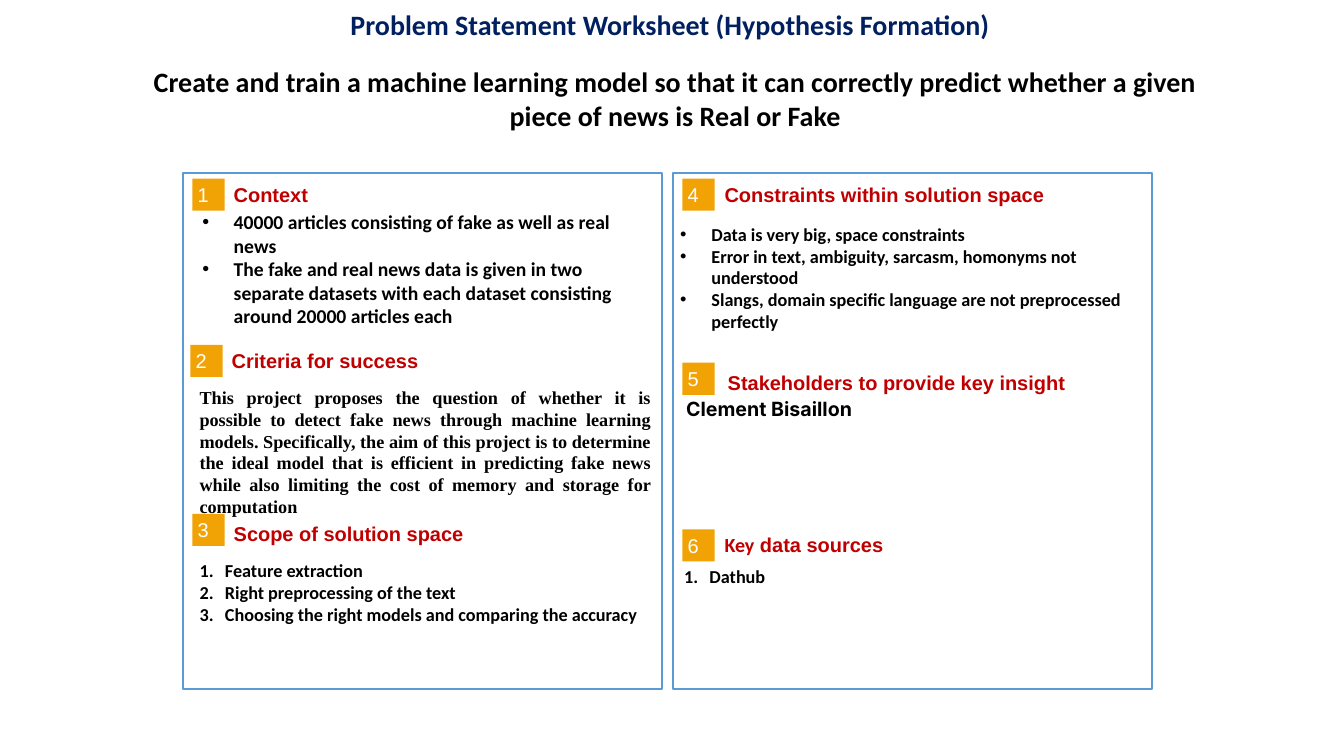
from dataclasses import dataclass

from lxml.etree import SubElement
from pptx import Presentation
from pptx.dml.color import RGBColor
from pptx.enum.shapes import MSO_SHAPE as Preset
from pptx.enum.text import MSO_ANCHOR as Anchor, MSO_AUTO_SIZE as AutoSize, PP_ALIGN as Align
from pptx.oxml.ns import qn
from pptx.util import Cm, Pt


@dataclass(frozen=True)
class Theme:
    navy: str = "002060"
    black: str = "000000"
    white: str = "FFFFFF"
    red: str = "C00000"
    amber: str = "F1A205"
    blue: str = "5B9BD5"
    title: float = 20
    heading: float = 14.3
    large: float = 14
    body: float = 13


theme = Theme()


def write(box, *lines, size=theme.body, color=theme.black, font="Calibri", bold=True,
          align=Align.LEFT, anchor=Anchor.TOP, margins=(0.25, 0.13),
          bullet=None, indent=0.0, lead="", lead_font="Calibri"):
    """Fill a box with one paragraph per line; lead opens the first one in lead_font."""
    frame = box.text_frame
    frame.word_wrap = True
    frame.auto_size = AutoSize.NONE
    frame.vertical_anchor = anchor
    frame.margin_left = frame.margin_right = Cm(margins[0])
    frame.margin_top = frame.margin_bottom = Cm(margins[1])
    for number, line in enumerate(lines):
        para = frame.add_paragraph() if number else frame.paragraphs[0]
        para.alignment = align
        para.line_spacing = 1.0
        para.space_before = para.space_after = Pt(0)
        if bullet:
            properties = para._p.get_or_add_pPr()
            properties.set("marL", str(Cm(indent)))
            properties.set("indent", str(-Cm(indent)))
            if bullet == "number":
                SubElement(properties, qn("a:buFont"), typeface="+mj-lt")
                SubElement(properties, qn("a:buAutoNum"), type="arabicPeriod")
            else:
                SubElement(properties, qn("a:buFont"), typeface="Arial")
                SubElement(properties, qn("a:buChar"), char=bullet)
        spans = [(line, font)]
        if lead and number == 0:
            spans.insert(0, (lead, lead_font))
        for text, face in spans:
            span = para.add_run()
            span.text = text
            span.font.name = face
            span.font.size = Pt(size)
            span.font.bold = bold
            span.font.color.rgb = RGBColor.from_string(color)


def add_block(left, top, width, height, fill, line=None):
    """Draw a flat rectangle."""
    block = page.shapes.add_shape(Preset.RECTANGLE, Cm(left), Cm(top), Cm(width), Cm(height))
    block.shadow.inherit = False
    block.fill.solid()
    block.fill.fore_color.rgb = RGBColor.from_string(fill)
    if line:
        block.line.color.rgb = RGBColor.from_string(line)
        block.line.width = Pt(1.5)
    else:
        block.line.fill.background()
    return block


deck = Presentation()
deck.slide_width, deck.slide_height = Cm(33.87), Cm(19.05)
page = deck.slides.add_slide(deck.slide_layouts.get_by_name("Comparison"))
title, *list_holders = page.placeholders

# Two panels
for left in (4.62, 16.97):
    add_block(left, 4.37, 12.07, 13, theme.white, theme.blue)

# Numbered headings: badge left and top, heading left and top, opening word, text
headings = [
    (4.85, 4.5, 5.89, 4.57, "", "Context"),
    (4.8, 8.69, 5.84, 8.76, "", "Criteria for success"),
    (4.85, 12.95, 5.89, 13.13, "", "Scope of solution space"),
    (17.2, 4.5, 18.26, 4.57, "", "Constraints within solution space"),
    (17.2, 9.14, 18.34, 9.32, "", "Stakeholders to provide key insight"),
    (17.2, 13.34, 18.26, 13.41, "Key", " data sources"),
]
for number, (badge_left, badge_top, left, top, lead, text) in enumerate(headings, 1):
    badge = add_block(badge_left, badge_top, 0.81, 0.81, theme.amber)
    write(badge, str(number), size=theme.heading, color=theme.white, font="Arial",
          bold=False, anchor=Anchor.MIDDLE, margins=(0.13, 0.13))
    heading = page.shapes.add_textbox(Cm(left), Cm(top), Cm(9.98), Cm(0.64))
    write(heading, text, lead=lead, size=theme.heading, color=theme.red, font="Arial",
          anchor=Anchor.MIDDLE, margins=(0, 0))

# Lists: position and size, bullet, indent, type size, lines
lists = [
    ((4.85, 5.16, 11.56, 3.38), "•", 0.79, theme.large, [
        "40000 articles consisting of fake as well as real news",
        "The fake and real news data is given in two separate datasets "
        "with each dataset consisting around 20000 articles each"]),
    ((4.78, 13.97, 12.01, 2.08), "number", 0.64, theme.body, [
        "Feature extraction",
        "Right preprocessing of the text",
        "Choosing the right models and comparing the accuracy"]),
    ((16.89, 5.49, 12.09, 3.48), "•", 0.79, theme.body, [
        "Data is very big, space constraints",
        "Error in text, ambiguity, sarcasm, homonyms not understood",
        "Slangs, domain specific language are not preprocessed perfectly"]),
    ((16.99, 14.12, 12.01, 3), "number", 0.64, theme.body, ["Dathub"]),
]
for holder, (place, bullet, indent, size, lines) in zip(list_holders, lists):
    holder.left, holder.top, holder.width, holder.height = map(Cm, place)
    write(holder, *lines, size=size, bullet=bullet, indent=indent)

# Title
title.left, title.top, title.width, title.height = Cm(4.67), Cm(0.18), Cm(24.43), Cm(0.86)
write(title, "Problem Statement Worksheet (Hypothesis Formation)", size=theme.title,
      color=theme.navy, align=Align.CENTER, margins=(0, 0))

# Bring the placeholders in front of the panels
for holder in (*list_holders, title):
    holder.element.getparent().append(holder.element)

# Free text
texts = [
    ((4.78, 9.6, 11.86, 3.86), "Times New Roman", theme.body, Align.JUSTIFY,
     "This project proposes the question of whether it is possible to detect fake news "
     "through machine learning models. Specifically, the aim of this project is to "
     "determine the ideal model that is efficient in predicting fake news while also "
     "limiting the cost of memory and storage for computation"),
    ((17.04, 9.86, 12.01, 3.23), "Inter", theme.large, Align.LEFT, "Clement Bisaillon"),
    ((2.79, 1.5, 28.45, 2.03), "Calibri", theme.title, Align.CENTER,
     "Create and train a machine learning model so that it can correctly predict "
     "whether a given piece of news is Real or Fake"),
]
for place, font, size, align, text in texts:
    box = page.shapes.add_textbox(*map(Cm, place))
    write(box, text, font=font, size=size, align=align)

deck.save("out.pptx")
